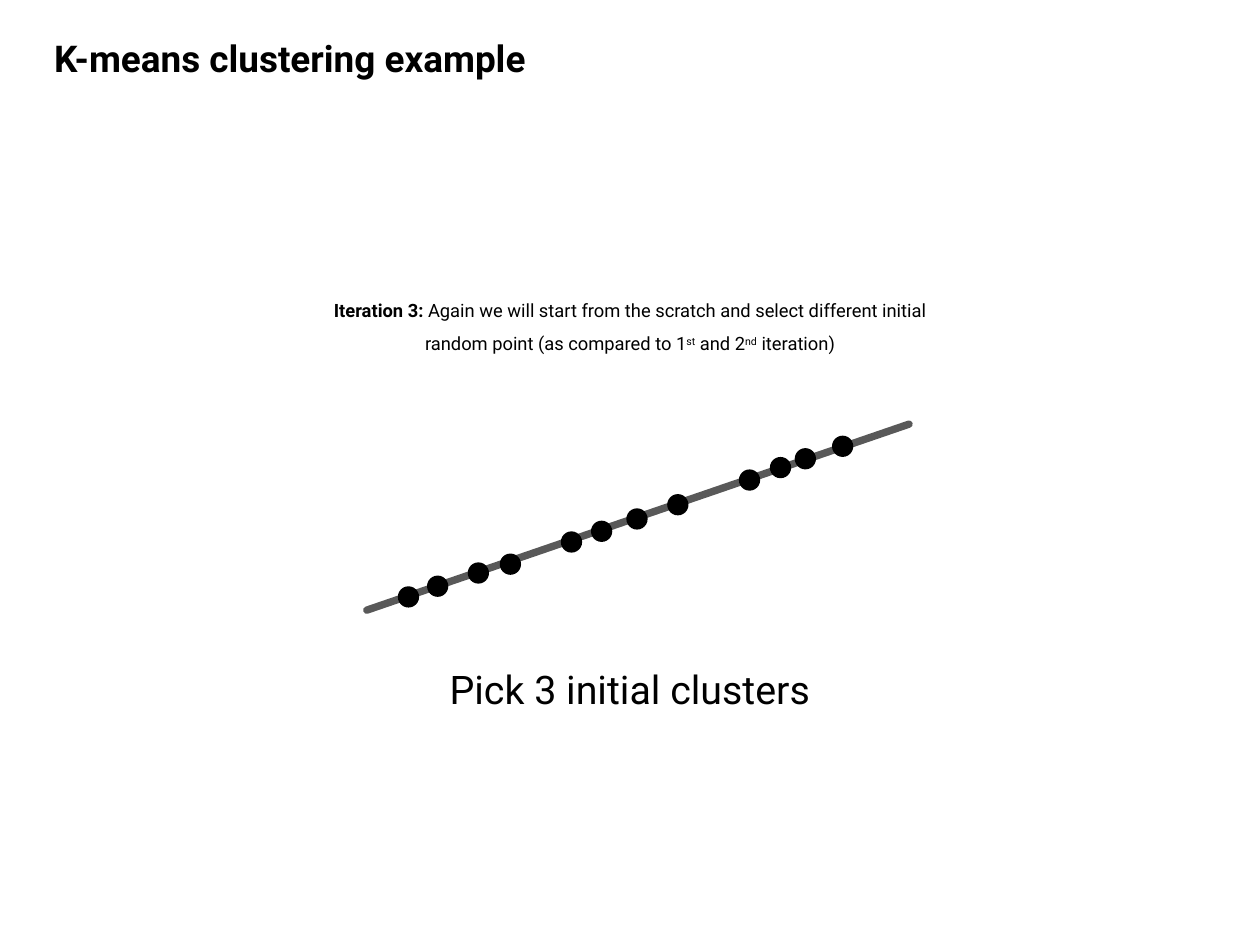
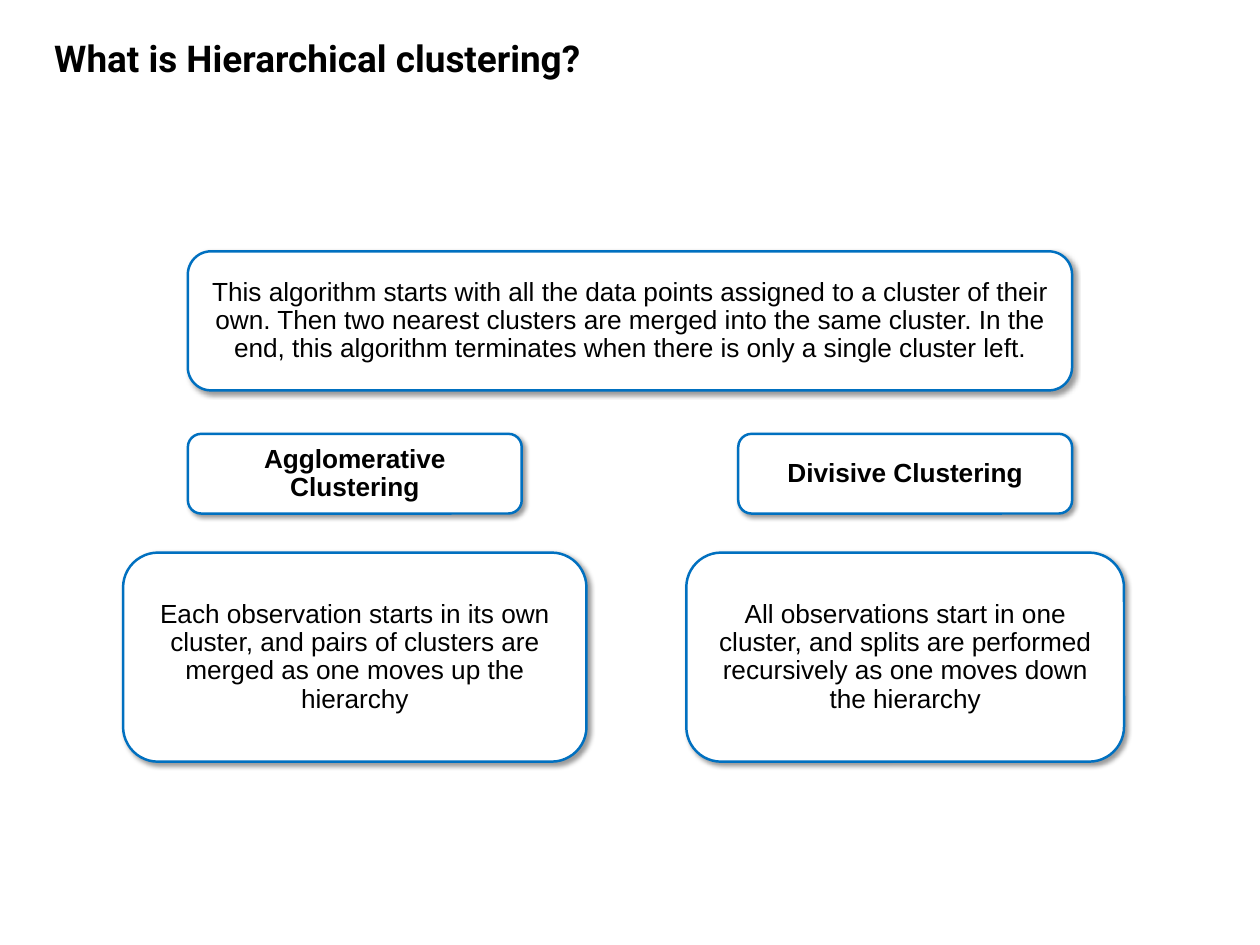
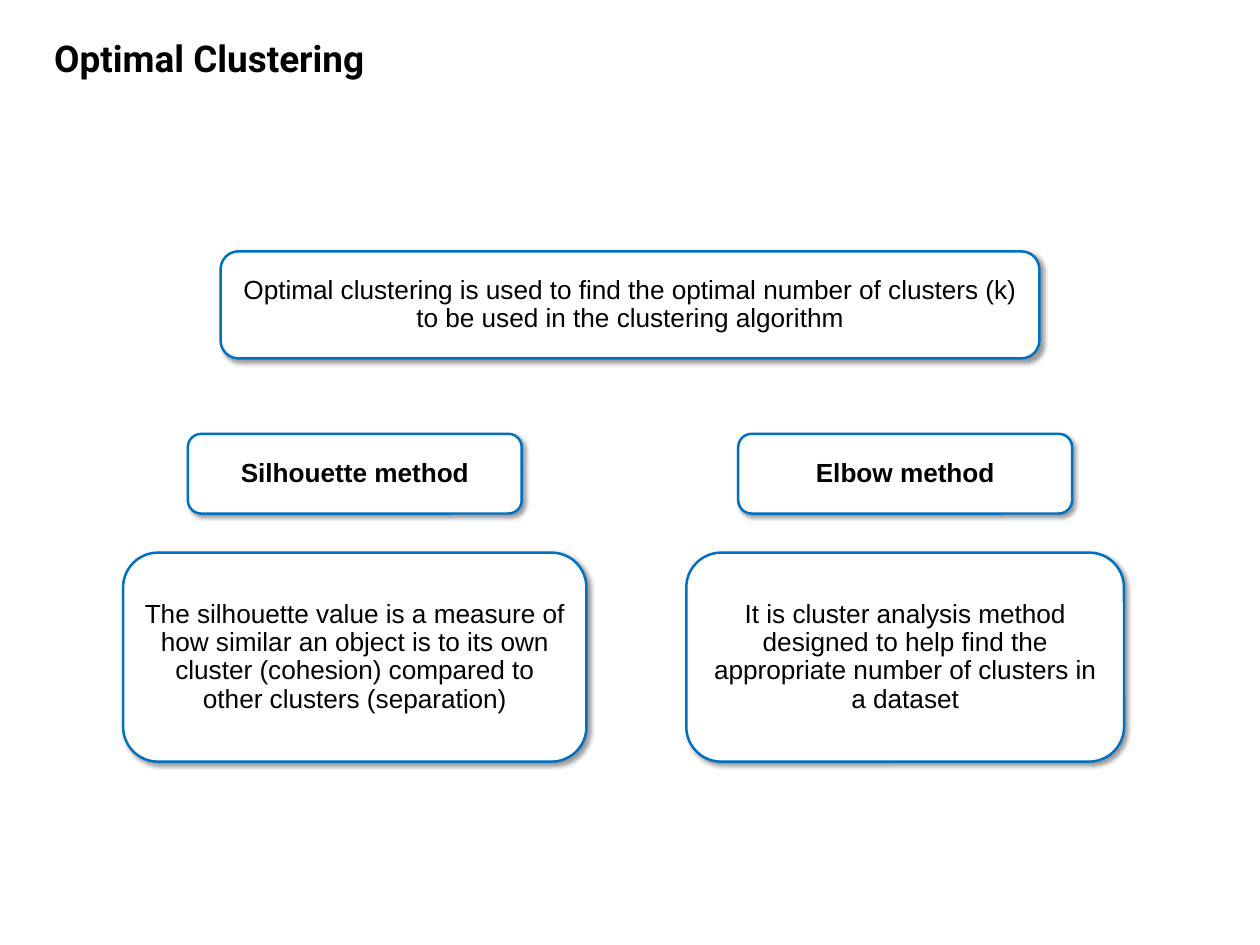
from dataclasses import dataclass

import pptx
import pptx.dml.color
import pptx.enum.shapes
import pptx.enum.text
import pptx.oxml
import pptx.oxml.ns
import pptx.util

RGB = pptx.dml.color.RGBColor.from_string
SHAPE = pptx.enum.shapes.MSO_SHAPE
ALIGN = pptx.enum.text.PP_ALIGN
ANCHOR = pptx.enum.text.MSO_ANCHOR
AUTO_SIZE = pptx.enum.text.MSO_AUTO_SIZE
NS = pptx.oxml.ns.nsdecls("a")

COLUMNS = 100  # square cells: the slide is 100 columns by 75 rows
CENTRE, LEFT, RIGHT = 50, 28.16, 71.84


@dataclass(frozen=True)
class Theme:
    ink: str = "000000"
    paper: str = "FFFFFF"
    accent: str = "0070C0"
    axis: str = "595959"
    heading_font: str = "Roboto"
    box_font: str = "Arial"
    title_size: float = 30
    caption_size: float = 32
    note_size: float = 14.9
    box_size: float = 21.3
    tight: float = 0.9
    loose: float = 1.5
    outline: float = 2
    axis_width: float = 6


class Deck:
    def __init__(self, theme):
        self.theme = theme
        self.prs = pptx.Presentation()
        self.prs.slide_width = pptx.util.Inches(14.22)
        self.prs.slide_height = pptx.util.Inches(10.67)
        self.slide = None

    def grid(self, *cells):
        """Turn grid cells into slide lengths."""
        return [pptx.util.Emu(round(c * self.prs.slide_width / COLUMNS)) for c in cells]

    def add_runs(self, tf, runs, font, size, spacing, align):
        """Fill a frame with runs of (text, bold, superscript)."""
        tf.word_wrap = True
        p = tf.paragraphs[0]
        p.alignment, p.line_spacing = align, spacing
        p.space_before = pptx.util.Pt(0)
        for text, bold, raised in runs:
            r = p.add_run()
            r.text = text
            r.font.name, r.font.size, r.font.bold = font, pptx.util.Pt(size), bold
            r.font.color.rgb = RGB(self.theme.ink)
            if raised:
                r.font._element.set("baseline", "30000")

    def new_slide(self, title):
        t = self.theme
        self.slide = self.prs.slides.add_slide(self.prs.slide_layouts.get_by_name("Title Only"))
        sp = self.slide.shapes.title
        sp.left, sp.top, sp.width, sp.height = self.grid(3.6, 2.88, 51.6, 3.94)
        tf = sp.text_frame
        tf.vertical_anchor, tf.auto_size = ANCHOR.TOP, AUTO_SIZE.SHAPE_TO_FIT_TEXT
        self.add_runs(tf, [(title, True, False)], t.heading_font, t.title_size, t.tight,
                      ALIGN.LEFT)

    def text(self, top, width, runs, size):
        """Add centred text in the middle of the slide."""
        t = self.theme
        sp = self.slide.shapes.add_textbox(*self.grid(CENTRE - width / 2, top, width, 5.7))
        sp.text_frame.auto_size = AUTO_SIZE.SHAPE_TO_FIT_TEXT
        self.add_runs(sp.text_frame, runs, t.heading_font, size, t.loose, ALIGN.CENTER)

    def axis(self, start, end):
        cxn = self.slide.shapes.add_connector(
            pptx.enum.shapes.MSO_CONNECTOR.STRAIGHT, *self.grid(*start, *end))
        cxn.line.color.rgb = RGB(self.theme.axis)
        cxn.line.width = pptx.util.Pt(self.theme.axis_width)
        cxn.line._get_or_add_ln().set("cap", "rnd")
        cxn._element.spPr.append(pptx.oxml.parse_xml(f"<a:effectLst {NS}/>"))

    def dot(self, x, y, size=1.69):
        sp = self.slide.shapes.add_shape(
            SHAPE.OVAL, *self.grid(x - size / 2, y - size / 2, size, size))
        sp.shadow.inherit = False
        sp.fill.solid()
        sp.fill.fore_color.rgb = RGB(self.theme.ink)
        sp.line.fill.background()

    def box(self, centre, top, width, height, text, bold=False):
        """Add a rounded box with a soft shadow, centred on a column."""
        t = self.theme
        sp = self.slide.shapes.add_shape(
            SHAPE.ROUNDED_RECTANGLE, *self.grid(centre - width / 2, top, width, height))
        sp.fill.solid()
        sp.fill.fore_color.rgb = RGB(t.paper)
        sp.line.color.rgb = RGB(t.accent)
        sp.line.width = pptx.util.Pt(t.outline)
        sp.shadow.inherit = False
        effects = sp._element.spPr.find(pptx.oxml.ns.qn("a:effectLst"))
        effects.append(pptx.oxml.parse_xml(
            f'<a:outerShdw {NS} blurRad="{pptx.util.Pt(4)}" dist="{pptx.util.Pt(3)}" '
            f'dir="2700000" algn="tl" rotWithShape="0"><a:srgbClr val="{t.ink}">'
            '<a:alpha val="40000"/></a:srgbClr></a:outerShdw>'))
        sp.text_frame.vertical_anchor = ANCHOR.MIDDLE
        self.add_runs(sp.text_frame, [(text, bold, False)], t.box_font, t.box_size,
                      t.tight, ALIGN.CENTER)

    def comparison(self, title, banner, banner_size, methods):
        """Add a slide with a banner over two methods, each a name and a description."""
        self.new_slide(title)
        self.box(CENTRE, 19.96, *banner_size, banner)
        for centre, width, (name, description) in zip((LEFT, RIGHT), (36.78, 34.74), methods):
            self.box(centre, 34.45, 26.5, 6.33, name, bold=True)
            self.box(centre, 43.88, width, 16.6, description)


POINTS = [
    (32.42, 47.4), (34.74, 46.55), (37.97, 45.5), (40.51, 44.8),
    (45.36, 43.04), (47.75, 42.19), (50.56, 41.21), (53.8, 40.08),
    (59.49, 38.12), (61.95, 37.13), (63.92, 36.43), (66.88, 35.44),
]


def main():
    theme = Theme()
    deck = Deck(theme)

    deck.new_slide("K-means clustering example")
    deck.axis((29.11, 48.45), (72.15, 33.68))
    for x, y in POINTS:
        deck.dot(x, y)
    deck.text(22.57, 50.6, [
        ("Iteration 3: ", True, False),
        ("Again we will start from the scratch and select different initial "
         "random point (as compared to 1", False, False),
        ("st", False, True),
        (" and 2", False, False),
        ("nd", False, True),
        (" iteration)", False, False),
    ], theme.note_size)
    deck.text(50.56, 44, [("Pick 3 initial clusters", False, False)], theme.caption_size)

    deck.comparison(
        "What is Hierarchical clustering?",
        "This algorithm starts with all the data points assigned to a cluster of their own. "
        "Then two nearest clusters are merged into the same cluster. In the end, this "
        "algorithm terminates when there is only a single cluster left.",
        (70.18, 11.04),
        [("Agglomerative Clustering",
          "Each observation starts in its own cluster, and pairs of clusters are merged "
          "as one moves up the hierarchy"),
         ("Divisive Clustering",
          "All observations start in one cluster, and splits are performed recursively "
          "as one moves down the hierarchy")])

    deck.comparison(
        "Optimal Clustering",
        "Optimal clustering is used to find the optimal number of clusters (k) to be used "
        "in the clustering algorithm",
        (64.98, 8.5),
        [("Silhouette method",
          "The silhouette value is a measure of how similar an object is to its own "
          "cluster (cohesion) compared to other clusters (separation)"),
         ("Elbow method",
          "It is cluster analysis method designed to help find the appropriate number "
          "of clusters in a dataset")])

    deck.prs.save("out.pptx")


if __name__ == "__main__":
    main()
